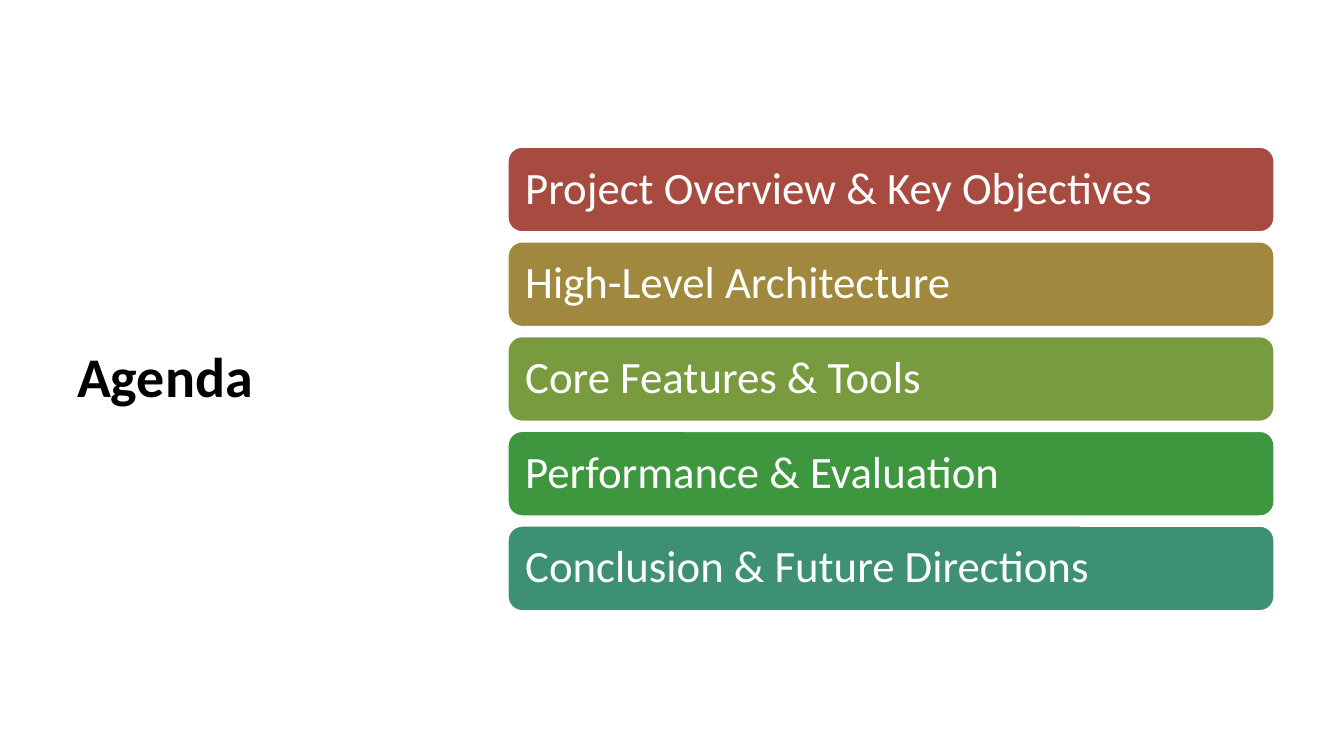
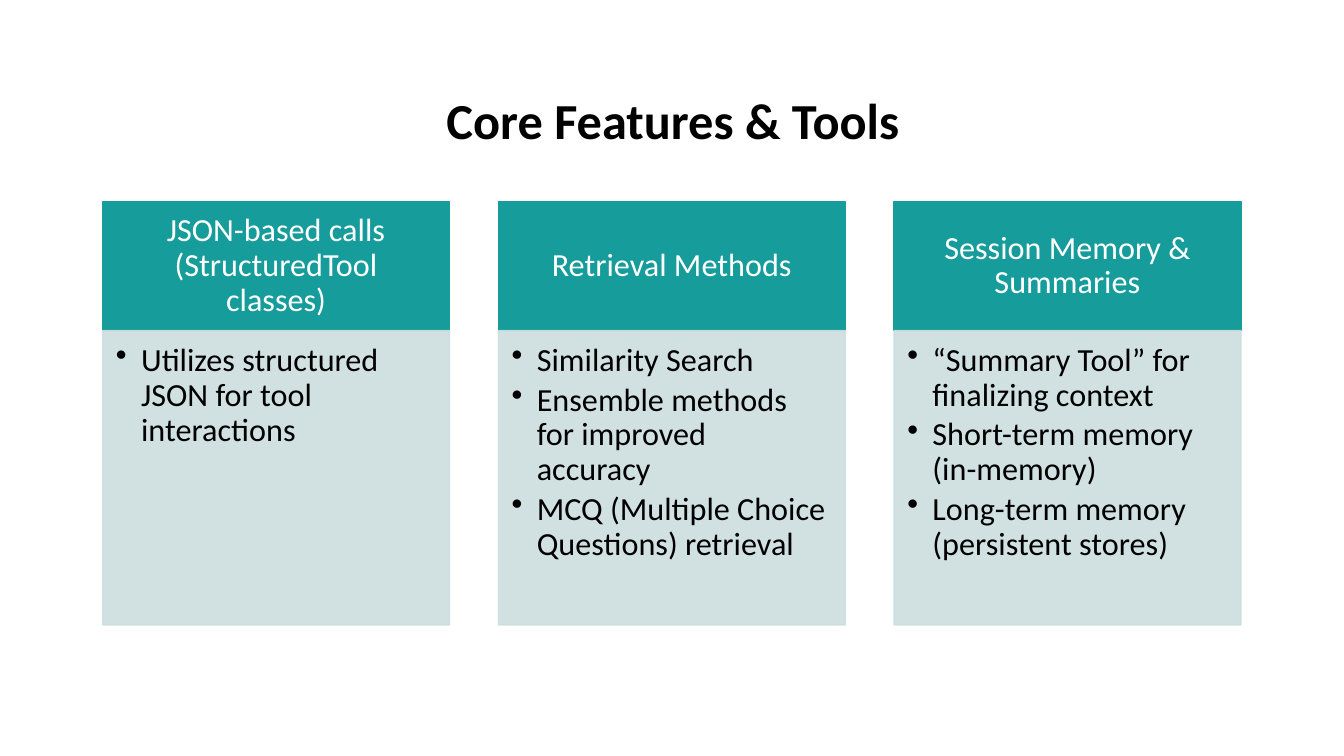
from lxml import etree
from pptx import Presentation
from pptx import util as u
from pptx.dml.color import RGBColor
from pptx.enum import shapes, text
from pptx.oxml import ns

WIDE, HIGH = u.Inches(13.333), u.Inches(7.5)
FONT = "Calibri"
INK = {
    "white": "FFFFFF", "black": "000000", "teal": "169C9A", "mist": "CCDEDE",
    "red": "A74B40", "gold": "A1883F", "olive": "799B3F",
    "green": "3E963E", "jade": "3D9072",
}
BARS = [
    ("Project Overview & Key Objectives", "red"),
    ("High-Level Architecture", "gold"),
    ("Core Features & Tools", "olive"),
    ("Performance & Evaluation", "green"),
    ("Conclusion & Future Directions", "jade"),
]
CARDS = [
    ("JSON-based calls (StructuredTool classes)",
     ["Utilizes structured JSON for tool interactions"]),
    ("Retrieval Methods",
     ["Similarity Search", "Ensemble methods for improved accuracy",
      "MCQ (Multiple Choice Questions) retrieval"]),
    ("Session Memory & Summaries",
     ["“Summary Tool” for finalizing context",
      "Short-term memory (in-memory)",
      "Long-term memory (persistent stores)"]),
]


def place(left, top, width, height):
    return (round(WIDE * left / 100), round(HIGH * top / 100),
            round(WIDE * width / 100), round(HIGH * height / 100))


def tint(name):
    return RGBColor.from_string(INK[name])


def bullet(para):
    props = para._p.get_or_add_pPr()
    props.set("marL", str(u.Inches(0.25)))
    props.set("indent", str(-u.Inches(0.25)))
    etree.SubElement(props, ns.qn("a:buChar")).set("char", "•")


def write(shape, lines, size, ink, pads, align="LEFT", anchor="MIDDLE",
          bold=False, dots=False):
    frame = shape.text_frame
    frame.word_wrap = True
    frame.vertical_anchor = text.MSO_ANCHOR[anchor]
    (frame.margin_left, frame.margin_top,
     frame.margin_right, frame.margin_bottom) = map(u.Inches, pads)
    for i, line in enumerate(lines):
        para = frame.add_paragraph() if i else frame.paragraphs[0]
        para.text = line
        para.alignment = text.PP_ALIGN[align]
        para.line_spacing = 0.9
        if dots:
            para.space_after = u.Pt(size * 0.15)
            bullet(para)
        font = para.font
        font.name, font.size, font.bold = FONT, u.Pt(size), bold
        font.color.rgb = tint(ink)


def title(slide, words, spot, size, align="LEFT"):
    box = slide.shapes.add_textbox(*place(*spot))
    write(box, [words], size, "black", (0.1, 0.05, 0.1, 0.05), align, bold=True)


def block(slide, kind, spot, fill, edge, alpha=None):
    shape = slide.shapes.add_shape(shapes.MSO_SHAPE[kind], *place(*spot))
    shape.shadow.inherit = False
    shape.fill.solid()
    shape.fill.fore_color.rgb = tint(fill)
    shape.line.color.rgb = tint(edge)
    shape.line.width = u.Pt(1)
    if alpha:
        for color in shape._element.spPr.iter(ns.qn("a:srgbClr")):
            etree.SubElement(color, ns.qn("a:alpha")).set("val", str(alpha * 1000))
    return shape


def bar(slide, row, words, fill):
    high, gap = 11.2, 1.33
    spot = (37.8, 19.47 + row * (high + gap), 57, high)
    shape = block(slide, "ROUNDED_RECTANGLE", spot, fill, "white")
    write(shape, [words], 32, "white", (0.13,) * 4)


def card(slide, col, head, lines):
    wide, gap, top, cap = 25.8, 3.64, 26.67, 17.07
    left = 7.65 + col * (wide + gap)
    shape = block(slide, "RECTANGLE", (left, top, wide, cap), "teal", "teal")
    write(shape, [head], 23, "white", (0.18, 0.1, 0.18, 0.1), "CENTER")
    spot = (left, top + cap, wide, 38.93)
    shape = block(slide, "RECTANGLE", spot, "mist", "mist", 90)
    write(shape, lines, 23, "black", (0.13, 0.13, 0.18, 0.2),
          anchor="TOP", dots=True)


def main():
    deck = Presentation()
    deck.slide_width, deck.slide_height = WIDE, HIGH
    blank = deck.slide_layouts[6]

    slide = deck.slides.add_slide(blank)
    title(slide, "Agenda", (5, 8, 28.65, 84.4), 40)
    for row, (words, fill) in enumerate(BARS):
        bar(slide, row, words, fill)

    slide = deck.slides.add_slide(blank)
    title(slide, "Core Features & Tools", (12.5, 8, 75.15, 16.53), 36, "CENTER")
    for col, (head, lines) in enumerate(CARDS):
        card(slide, col, head, lines)

    deck.save("out.pptx")


if __name__ == "__main__":
    main()
